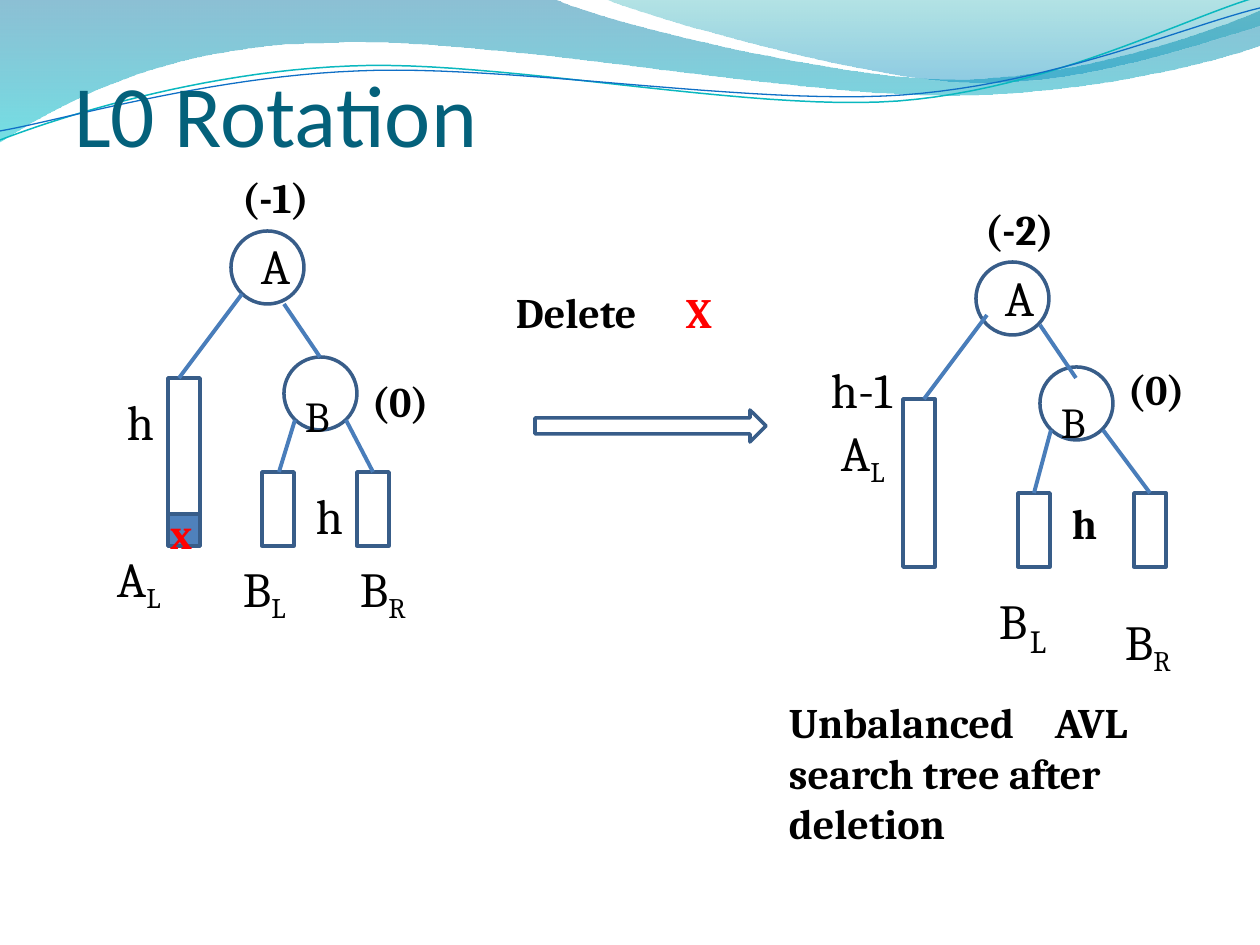
from lxml import etree
from pptx import Presentation
from pptx import util as u
from pptx.dml.color import RGBColor
from pptx.enum import shapes, text
from pptx.oxml.ns import qn

PX = 914400 / 126
COLORS = {
    "title": "04617B", "ink": "000000", "red": "FF0000",
    "outline": "385D89", "branch": "497DBA", "deleted": "4F81BC",
    "blue": "0074A1", "aqua": "00C6CF", "green": "00A1A9", "sky": "008BBF",
    "teal line": "0AB8BF", "blue line": "0F6FC6",
}

# Header waves: a 2-tuple is a corner, a 6-tuple a Bezier curve
BANDS = [
    ([(0, 0), (554, -1), (600, 21, 837, 79, 955, 79),
      (1075, 79, 1207, 33, 1260, 11), (1261, 45),
      (1238, 55, 1096, 96, 940, 95), (784, 95, 481, 35, 324, 43),
      (163, 45, 58, 105, -1, 142)], [("blue", 45), ("aqua", 55)]),
    ([(604, -1), (641, 15, 859, 78, 969, 82),
      (1079, 87, 1211, 40, 1260, 26), (1260, 0)], [("green", 30), ("sky", 45)]),
]
STRANDS = [
    ([(0, 140), (60, 117, 199, 72, 349, 66), (498, 59, 747, 112, 898, 101),
      (1050, 89, 1182, 19, 1257, -3)], "teal line", 0.85),
    ([(0, 131), (59, 121, 207, 77, 357, 71), (508, 64, 752, 106, 903, 95),
      (1053, 84, 1186, 26, 1260, 8)], "blue line", 0.75),
]

# Trees: node corners, subtree bars (left, top, height), branches
NODE, BAR = 73, 32
TREES = [
    {"nodes": [(231, 231), (284, 357)],
     "bars": [(168, 378, 168), (262, 472, 74), (357, 472, 74)],
     "branches": [(242, 294, 179, 378), (284, 304, 320, 357),
                  (295, 420, 279, 472), (346, 420, 373, 472)]},
    {"nodes": [(976, 262), (1040, 367)],
     "bars": [(903, 399, 168), (1018, 493, 74), (1134, 493, 74)],
     "branches": [(987, 315, 924, 399), (1040, 325, 1076, 378),
                  (1051, 430, 1034, 493), (1103, 430, 1150, 493)]},
]
DELETED_PART = (168, 514, BAR, BAR)
ARROW = (535, 410, 231, 32)


# Text spans: (text, size, bold, colour, baseline percent)
def plain(words, size=28, base=0):
    return (words, size, False, "ink", base)


def bold(words, color="ink"):
    return (words, 24, True, color, 0)


def sub(words):
    return plain(words, 28, -21)


# Labels: box, tab stop, paragraphs of spans
LABELS = [
    ((116, 548, 57, 62), None, [[plain("A"), sub("L")]]),
    ((315, 485, 32, 62), None, [[plain("h")]]),
    ((242, 558, 170, 62), 117, [[plain("B"), sub("L\t"), plain("B"), sub("R")]]),
    ((304, 343, 125, 62), 67, [[plain("B\t", 42, -21), bold("(0)")]]),
    ((126, 391, 32, 62), None, [[plain("h")]]),
    ((169, 507, 29, 54), None, [[bold("x", "red")]]),
    ((515, 286, 202, 54), 170, [[bold("Delete\t"), bold("X", "red")]]),
    ((998, 590, 34, 62), None, [[plain("B")]]),
    ((1029, 620, 22, 43), None, [[plain("L", 18.5)]]),
    ((1124, 611, 56, 62), None, [[plain("B"), sub("R")]]),
    ((1060, 331, 125, 62), 67, [[plain("B\t", 42, -45), bold("(0)")]]),
    ((1071, 496, 28, 54), None, [[bold("h")]]),
    ((788, 696, 368, 155), 266, [[bold("Unbalanced\t"), bold("AVL search tree after deletion")]]),
    ((840, 422, 57, 62), None, [[plain("A"), sub("L")]]),
    ((830, 359, 75, 62), None, [[plain("h-1")]]),
]
# Balance factor above the root name, centred
ROOTS = [
    ((232, 171, 86, 125), None, [[bold("(-1)")], [plain("A")]]),
    ((976, 203, 86, 125), None, [[bold("(-2)")], [plain("A")]]),
]
TITLE = ((73, 58, 777, 107), None, [[("L0 Rotation", 50, False, "title", 0)]])


def px(value):
    return u.Emu(round(value * PX))


def rgb(name):
    return RGBColor.from_string(COLORS[name])


def trace(steps, pieces=24):
    points = [steps[0]]
    for step in steps[1:]:
        if len(step) == 2:
            points.append(step)
            continue
        start, ends = points[-1], (step[:2], step[2:4], step[4:])
        for i in range(1, pieces + 1):
            t = i / pieces
            weights = ((1 - t) ** 3, 3 * t * (1 - t) ** 2, 3 * t * t * (1 - t), t ** 3)
            points.append(tuple(sum(w * p[axis] for w, p in zip(weights, (start, *ends)))
                                for axis in (0, 1)))
    return points


def add_wave(slide, steps, close):
    points = [(px(x), px(y)) for x, y in trace(steps)]
    builder = slide.shapes.build_freeform(*points[0])
    builder.add_line_segments(points[1:], close=close)
    wave = builder.convert_to_shape()
    wave.shadow.inherit = False
    return wave


def add_outline(slide, kind, area, fill=None):
    shape = slide.shapes.add_shape(kind, *map(px, area))
    shape.shadow.inherit = False
    if fill:
        shape.fill.solid()
        shape.fill.fore_color.rgb = rgb(fill)
    else:
        shape.fill.background()
    shape.line.color.rgb = rgb("outline")
    shape.line.width = u.Pt(2)


def add_branch(slide, ends):
    branch = slide.shapes.add_connector(shapes.MSO_CONNECTOR.STRAIGHT, *map(px, ends))
    branch.line.color.rgb = rgb("branch")
    branch.line.width = u.Pt(2.25)
    etree.SubElement(branch._element.spPr, qn("a:effectLst"))


def add_label(slide, area, tab, paras, font="Cambria", centred=False):
    box = slide.shapes.add_textbox(*map(px, area))
    frame = box.text_frame
    frame.word_wrap = True
    frame.margin_left = frame.margin_top = px(1)
    frame.margin_right = frame.margin_bottom = 0
    for i, spans in enumerate(paras):
        para = frame.paragraphs[0] if i == 0 else frame.add_paragraph()
        if i:
            para.space_before = u.Pt(7.5)
        if centred:
            para.alignment = text.PP_ALIGN.CENTER
        if tab:
            stops = etree.SubElement(para._p.get_or_add_pPr(), qn("a:tabLst"))
            etree.SubElement(stops, qn("a:tab"), pos=str(px(tab)), algn="l")
        for words, size, is_bold, color, base in spans:
            span = para.add_run()
            span.text = words
            span.font.name, span.font.size = font, u.Pt(size)
            span.font.bold = is_bold
            span.font.color.rgb = rgb(color)
            if base:
                span.font._element.set("baseline", str(base * 1000))
    return frame


def main():
    deck = Presentation()
    deck.slide_width, deck.slide_height = u.Inches(10), u.Inches(7.5)
    slide = deck.slides.add_slide(deck.slide_layouts[6])

    # Header waves
    for steps, tints in BANDS:
        band = add_wave(slide, steps, True)
        band.line.fill.background()
        band.fill.gradient()
        band.fill.gradient_angle = 270
        for i, (stop, (color, opacity)) in enumerate(zip(band.fill.gradient_stops, tints)):
            stop.color.rgb = rgb(color)
            stop.position = i
            tint = list(band._element.spPr.iter(qn("a:srgbClr")))[i]
            etree.SubElement(tint, qn("a:alpha"), val=str(opacity * 1000))
    for steps, color, width in STRANDS:
        strand = add_wave(slide, steps, False)
        strand.fill.background()
        strand.line.color.rgb = rgb(color)
        strand.line.width = u.Pt(width)

    # Trees and the arrow between them
    kinds = shapes.MSO_SHAPE
    add_outline(slide, kinds.RECTANGLE, DELETED_PART, "deleted")
    for tree in TREES:
        for left, top in tree["nodes"]:
            add_outline(slide, kinds.OVAL, (left, top, NODE, NODE))
        for left, top, height in tree["bars"]:
            add_outline(slide, kinds.RECTANGLE, (left, top, BAR, height))
        for ends in tree["branches"]:
            add_branch(slide, ends)
    add_outline(slide, kinds.RIGHT_ARROW, ARROW)

    # Title and labels
    title = add_label(slide, *TITLE, font="Calibri")
    title.vertical_anchor = text.MSO_ANCHOR.BOTTOM
    for label in LABELS:
        add_label(slide, *label)
    for root in ROOTS:
        add_label(slide, *root, centred=True)
    deck.save("out.pptx")


if __name__ == "__main__":
    main()
